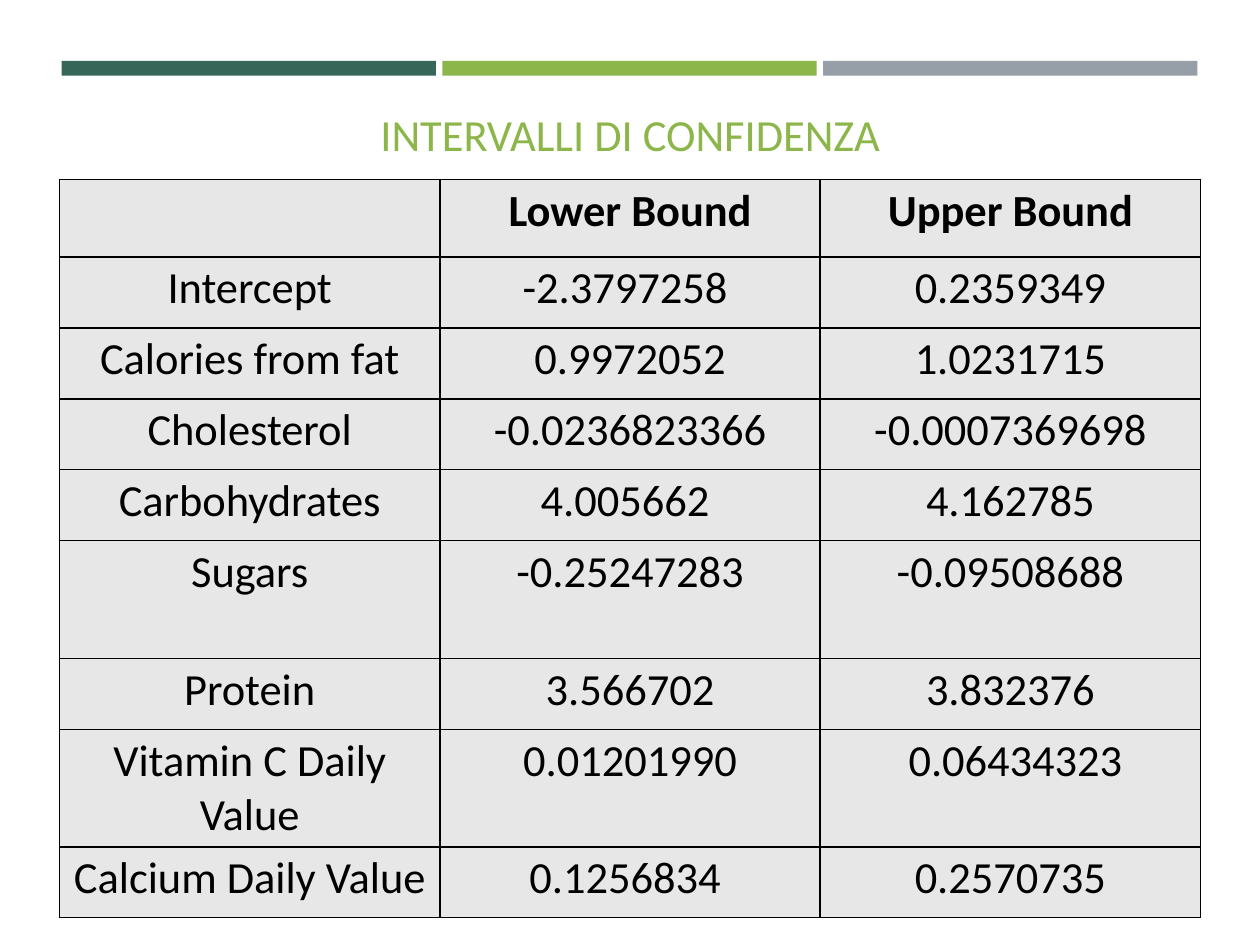
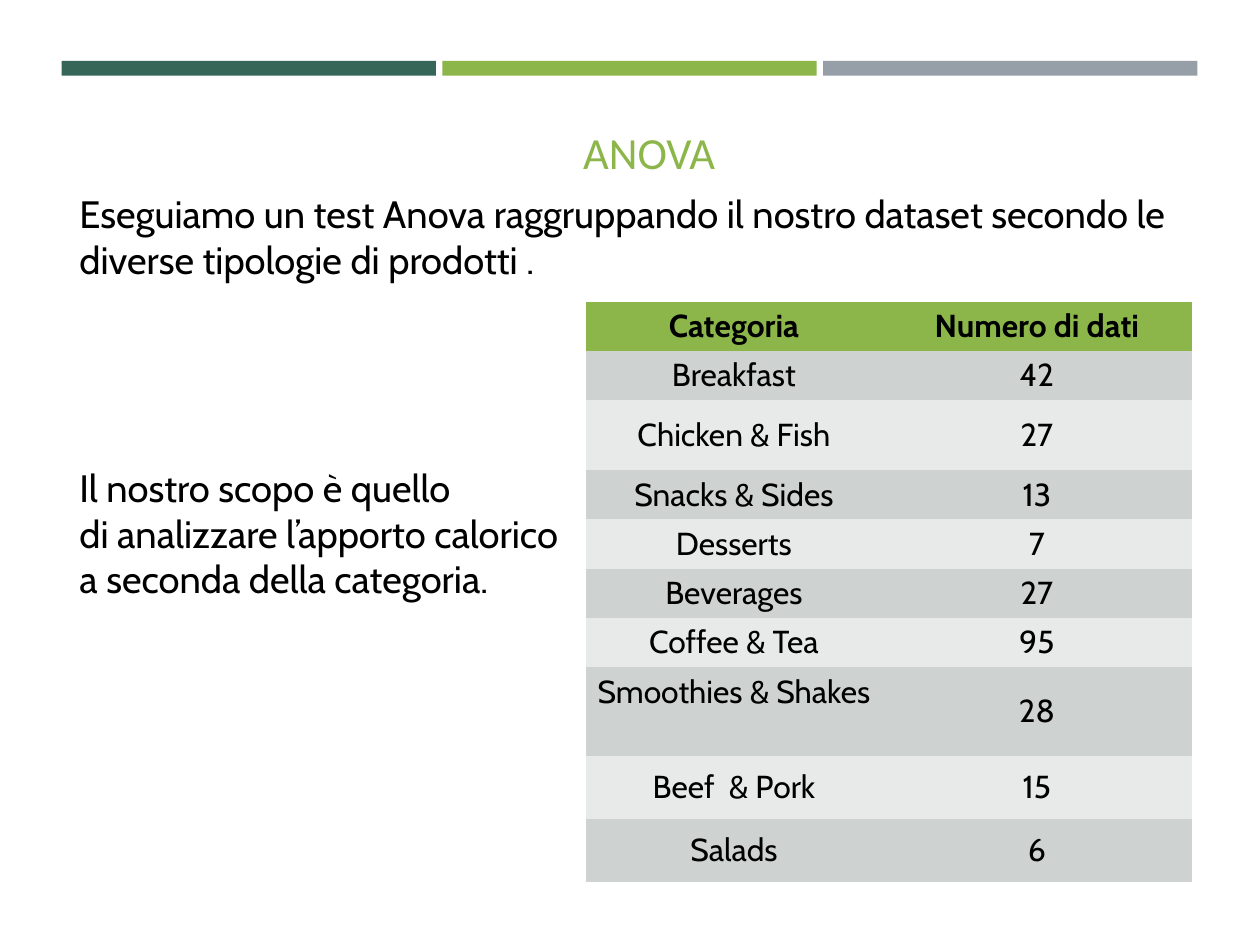
from dataclasses import dataclass

from lxml import etree
from pptx import Presentation
from pptx.dml.color import RGBColor
from pptx.enum.shapes import MSO_SHAPE
from pptx.enum.text import MSO_ANCHOR, MSO_AUTO_SIZE, PP_ALIGN
from pptx.oxml.ns import qn
from pptx.util import Cm, Inches, Pt

RECT = MSO_SHAPE.RECTANGLE
TOP, MIDDLE = MSO_ANCHOR.TOP, MSO_ANCHOR.MIDDLE
LEFT, CENTER = PP_ALIGN.LEFT, PP_ALIGN.CENTER
FIXED = MSO_AUTO_SIZE.NONE
WIDE, HIGH = Cm(28), Cm(21)
TITLE_ONLY, TITLE_BODY = 5, 1


@dataclass(frozen=True)
class Theme:
    ink: str = "000000"
    pine: str = "366658"
    leaf: str = "8CB64A"
    slate: str = "969FA7"
    cell: str = "E7E7E7"
    dark: str = "CED3D1"
    light: str = "E8EAEA"
    plain: str = "Calibri"
    soft: str = "Cabin"
    head: int = 28
    body: int = 24
    small: int = 20


THEME = Theme()

BOUNDS = [
    ("", "Lower Bound", "Upper Bound"),
    ("Intercept", "-2.3797258 ", "0.2359349"),
    ("Calories from fat", "0.9972052", "1.0231715"),
    ("Cholesterol", "-0.0236823366", "-0.0007369698"),
    ("Carbohydrates", "4.005662 ", "4.162785"),
    ("Sugars", "-0.25247283", "-0.09508688"),
    ("Protein", "3.566702", "3.832376"),
    ("Vitamin C Daily Value", " 0.01201990 ", " 0.06434323"),
    ("Calcium Daily Value", "0.1256834 ", "0.2570735"),
]
COUNTS = [
    ("Categoria", "Numero di dati"),
    ("Breakfast", "42"),
    ("Chicken & Fish", "27"),
    ("Snacks & Sides", "13"),
    ("Desserts", "7"),
    ("Beverages", "27"),
    ("Coffee & Tea", "95"),
    ("Smoothies & Shakes", "28"),
    ("Beef  & Pork", "15"),
    ("Salads", "6"),
]
# Each paragraph with the space before it, in points
NOTES = [
    ("Eseguiamo un test Anova raggruppando il nostro dataset secondo le "
     "diverse tipologie di prodotti .", 0),
    ("Il nostro scopo è quello", 115),
    ("di analizzare l’apporto calorico", 0),
    ("a seconda della categoria.", 0),
]


def share(x, y, w, h):
    """Turn percentages of the slide into left, top, width, height."""
    return (int(WIDE * x / 100), int(HIGH * y / 100),
            int(WIDE * w / 100), int(HIGH * h / 100))


def split(total, parts):
    """Divide a length in proportion to the given weights."""
    return [int(total * part / sum(parts)) for part in parts]


def place(shape, box):
    shape.left, shape.top, shape.width, shape.height = box


def write(para, text, font, size, color=THEME.ink, bold=False, align=CENTER):
    para.alignment = align
    run = para.add_run()
    run.text = text
    run.font.name = font
    run.font.size = Pt(size)
    run.font.bold = bold
    run.font.color.rgb = RGBColor.from_string(color)


def add_bands(deck, slide):
    """Draw the three top bands and move them to the master."""
    tree = deck.slide_master.shapes.element
    for i, color in enumerate((THEME.pine, THEME.leaf, THEME.slate)):
        box = share(4.9, 6.44, 29.7, 1.57)
        band = slide.shapes.add_shape(RECT, *box)
        band.left += int(WIDE * 0.3022 * i)
        band.shadow.inherit = False
        band.fill.solid()
        band.fill.fore_color.rgb = RGBColor.from_string(color)
        band.line.fill.background()
        band.element.nvSpPr.cNvPr.set("id", str(100 + i))
        tree.append(band.element)


def add_title(slide, text, box):
    title = slide.shapes.title
    place(title, box)
    frame = title.text_frame
    frame.auto_size = FIXED
    frame.vertical_anchor = MIDDLE
    write(frame.paragraphs[0], text, THEME.plain, THEME.head, THEME.leaf)


def add_notes(slide, notes, box):
    body = slide.placeholders[1]
    place(body, box)
    frame = body.text_frame
    frame.auto_size = FIXED
    for i, (text, gap) in enumerate(notes):
        para = frame.add_paragraph() if i else frame.paragraphs[0]
        para.space_before = Pt(gap)
        write(para, text, THEME.soft, THEME.body, align=LEFT)
        props = para._p.get_or_add_pPr()
        props.set("marL", "0")
        props.set("indent", "0")
        etree.SubElement(props, qn("a:buNone"))


def set_edges(cell, color):
    """Draw 1 pt borders in the colour, or none without one."""
    props = cell._tc.get_or_add_tcPr()
    for i, side in enumerate("LRTB"):
        line = etree.Element(qn("a:ln" + side), w=str(Pt(1)))
        if color:
            fill = etree.SubElement(line, qn("a:solidFill"))
            etree.SubElement(fill, qn("a:srgbClr"), val=color)
        else:
            etree.SubElement(line, qn("a:noFill"))
        props.insert(i, line)


def add_grid(slide, data, box, cols, rows, font, size, fills, edge, anchor):
    """Add a table; fills holds the head colour, then those of the bands."""
    table = slide.shapes.add_table(len(data), len(data[0]), *box).table
    for col, width in zip(table.columns, split(box[2], cols)):
        col.width = width
    for row, height in zip(table.rows, split(box[3], rows)):
        row.height = height
    head, *bands = fills
    for i, line in enumerate(data):
        color = bands[(i - 1) % len(bands)] if i else head
        for j, text in enumerate(line):
            cell = table.cell(i, j)
            cell.fill.solid()
            cell.fill.fore_color.rgb = RGBColor.from_string(color)
            cell.margin_left = cell.margin_right = Inches(0.08)
            cell.margin_top = cell.margin_bottom = Inches(0.04)
            cell.vertical_anchor = anchor
            set_edges(cell, edge)
            if text:
                write(cell.text_frame.paragraphs[0], text, font, size,
                      bold=i == 0)
    return table


def fill_bounds(slide):
    add_title(slide, "INTERVALLI DI CONFIDENZA", share(28.4, 10.6, 43.2, 7))
    rows = [0.68] + [0.62] * 4 + [1.03, 0.62, 1.03, 0.62]
    add_grid(slide, BOUNDS, share(4.72, 18.98, 90.56, 78.15), [1] * 3, rows,
             THEME.plain, THEME.head, (THEME.cell, THEME.cell), THEME.ink, TOP)


def fill_anova(slide):
    add_title(slide, "ANOVA", share(44.4, 12.63, 14.25, 6.9))
    add_notes(slide, NOTES, share(5.4, 19.54, 92.29, 73.28))
    rows = [0.43, 0.43, 0.61] + [0.43] * 4 + [0.77, 0.55, 0.55]
    table = add_grid(slide, COUNTS, share(46.5, 31.92, 48.09, 61.4),
                     [2.59, 2.71], rows, THEME.soft, THEME.small,
                     (THEME.leaf, THEME.dark, THEME.light), None, MIDDLE)
    table.cell(7, 0).margin_bottom = Inches(0.38)


def main():
    deck = Presentation()
    deck.slide_width, deck.slide_height = WIDE, HIGH
    first = deck.slides.add_slide(deck.slide_layouts[TITLE_ONLY])
    add_bands(deck, first)
    fill_bounds(first)
    fill_anova(deck.slides.add_slide(deck.slide_layouts[TITLE_BODY]))
    deck.save("out.pptx")


if __name__ == "__main__":
    main()
